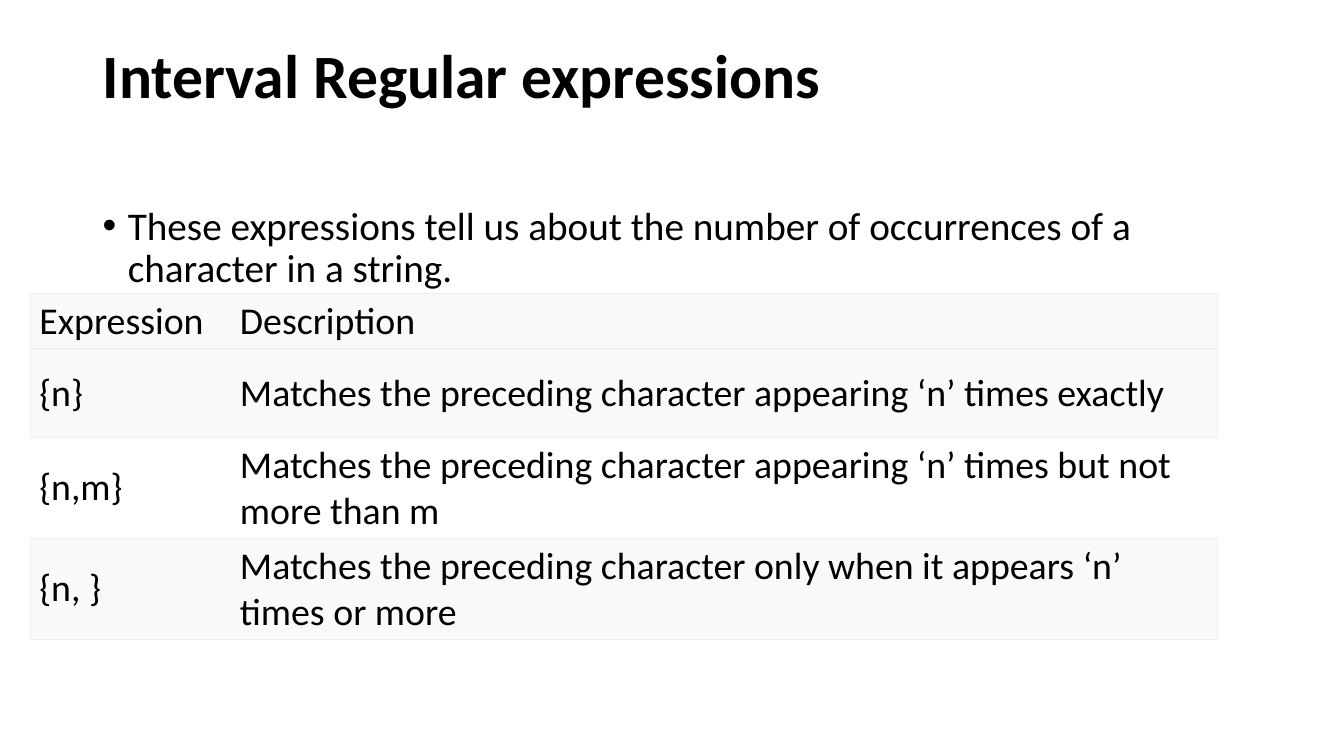
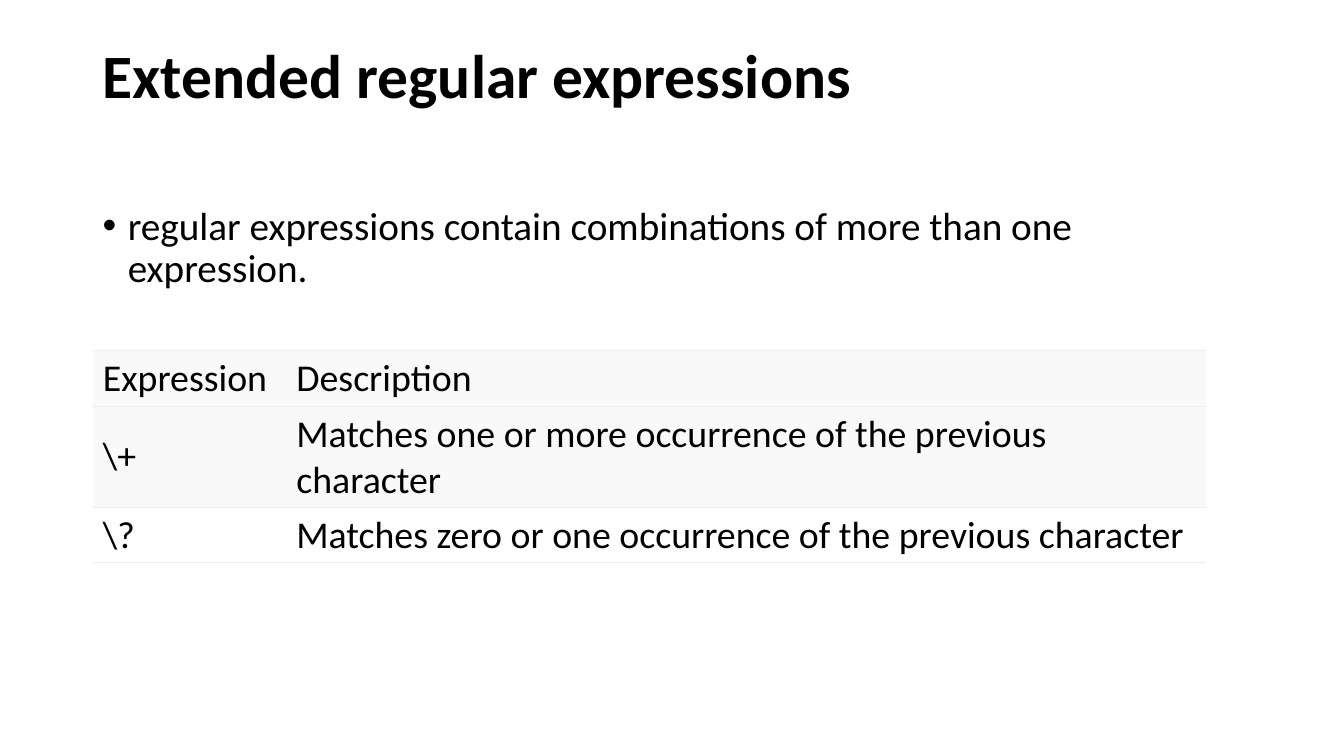
from lxml.etree import SubElement
from pptx import Presentation
from pptx.dml.color import RGBColor
from pptx.enum.text import MSO_ANCHOR
from pptx.oxml.ns import qn
from pptx.util import Emu, Inches, Pt

WIDTH, HEIGHT = 13.33, 7.5
FONT = "Calibri"
COLORS = {"text": "000000", "shade": "F9F9F9", "plain": "FFFFFF", "rule": "EEEEEE"}
TITLE_AREA = (0.92, 0.4, 11.5, 1.45)
BODY_AREA = (0.92, 2, 11.5, 4.76)
BULLET_INDENT = 0.25
RULE_WIDTH = 0.75
HEADER = ("Expression", "Description")

SLIDES = [
    {
        "title": "Interval Regular expressions",
        "bullet": "These expressions tell us about the number of occurrences of a character in a string.",
        "table_at": (0.29, 2.91),
        "columns": (1.99, 9.81),
        "header_height": 0.5,
        "row_height": 0.88,
        "rows": [
            ("{n}", "Matches the preceding character appearing ‘n’ times exactly"),
            ("{n,m}", "Matches the preceding character appearing ‘n’ times but not more than m"),
            ("{n, }", "Matches the preceding character only when it appears ‘n’ times or more"),
        ],
    },
    {
        "title": "Extended regular expressions",
        "bullet": "regular expressions contain combinations of more than one expression.",
        "table_at": (0.92, 3.48),
        "columns": (1.92, 9.12),
        "header_height": 0.43,
        "row_height": 0.43,
        "rows": [
            ("\\+", "Matches one or more occurrence of the previous character"),
            ("\\?", "Matches zero or one occurrence of the previous character"),
        ],
    },
]


def color(name):
    return RGBColor.from_string(COLORS[name])


def write(frame, text, size, bold=False, spacing=None, before=0, bullet=False):
    frame.word_wrap = True
    para = frame.paragraphs[0]
    para.space_before = Pt(before)
    if spacing:
        para.line_spacing = spacing
    if bullet:
        properties = para._p.get_or_add_pPr()
        properties.set("marL", str(Inches(BULLET_INDENT)))
        properties.set("indent", str(-Inches(BULLET_INDENT)))
        SubElement(properties, qn("a:buFont")).set("typeface", "Arial")
        SubElement(properties, qn("a:buChar")).set("char", "•")
    span = para.add_run()
    span.text = text
    span.font.name = FONT
    span.font.size = Pt(size)
    span.font.bold = bold
    span.font.color.rgb = color("text")


def add_text(page, area, text, **style):
    box = page.shapes.add_textbox(*map(Inches, area))
    box.text_frame.vertical_anchor = MSO_ANCHOR.TOP
    write(box.text_frame, text, spacing=0.9, **style)


def set_borders(cell):
    properties = cell._tc.get_or_add_tcPr()
    for side in ("lnL", "lnR", "lnT", "lnB"):
        line = SubElement(properties, qn(f"a:{side}"))
        line.set("w", str(Pt(RULE_WIDTH)))
        if side in ("lnT", "lnB"):
            fill = SubElement(line, qn("a:solidFill"))
            SubElement(fill, qn("a:srgbClr")).set("val", COLORS["rule"])
        else:
            SubElement(line, qn("a:noFill"))


def add_expression_table(page, content):
    rows = [HEADER] + content["rows"]
    columns = content["columns"]
    heights = [content["header_height"]] + [content["row_height"]] * len(content["rows"])
    area = (*content["table_at"], sum(columns), sum(heights))
    table = page.shapes.add_table(len(rows), len(columns), *map(Inches, area)).table
    table.first_row = False
    table.horz_banding = False
    for column, width in zip(table.columns, columns):
        column.width = Inches(width)
    for index, (row, height, texts) in enumerate(zip(table.rows, heights, rows)):
        row.height = Inches(height)
        shaded = index == 0 or index % 2 == 1
        for cell, text in zip(row.cells, texts):
            set_borders(cell)
            cell.fill.solid()
            cell.fill.fore_color.rgb = color("shade" if shaded else "plain")
            cell.vertical_anchor = MSO_ANCHOR.MIDDLE
            write(cell.text_frame, text, size=27)


def main():
    deck = Presentation()
    deck.slide_width, deck.slide_height = Inches(WIDTH), Inches(HEIGHT)
    for content in SLIDES:
        page = deck.slides.add_slide(deck.slide_layouts[6])
        add_text(page, TITLE_AREA, content["title"], size=44, bold=True)
        add_text(page, BODY_AREA, content["bullet"], size=28, before=10, bullet=True)
        add_expression_table(page, content)
    deck.save("out.pptx")


if __name__ == "__main__":
    main()
